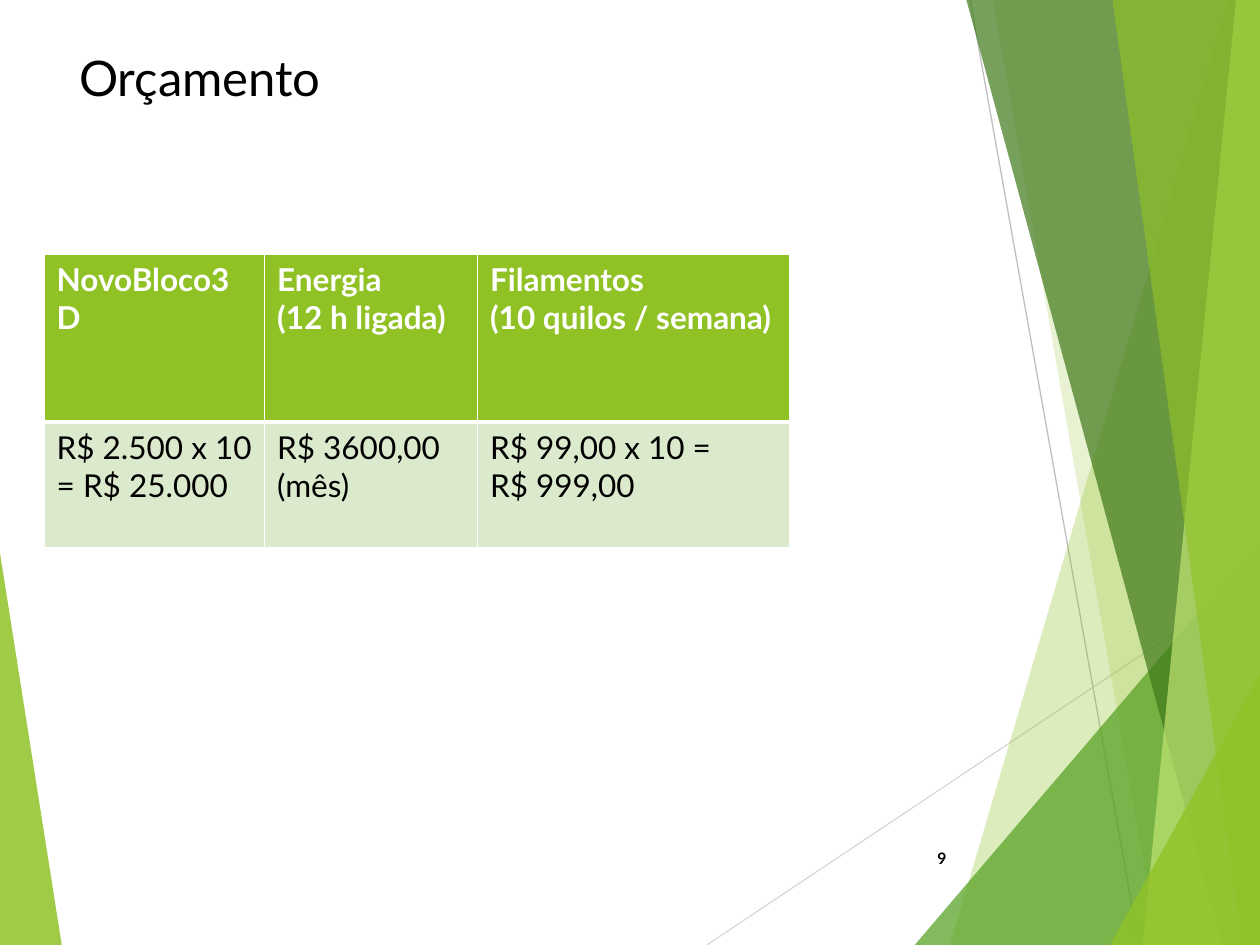
from lxml.etree import SubElement
from pptx import Presentation
from pptx.dml.color import RGBColor
from pptx.enum.shapes import MSO_CONNECTOR
from pptx.enum.text import MSO_ANCHOR, PP_ALIGN
from pptx.oxml.ns import qn
from pptx.util import Inches, Pt

COLORS = {
    "white": "FFFFFF", "black": "000000", "lime": "90C226", "green": "54A021",
    "forest": "3F7819", "pale": "C0E474", "mint": "DBE9CD",
    "silver": "D9D9D9", "gray": "BFBFBF",
}


def rgb(name):
    """Return the named colour."""
    return RGBColor.from_string(COLORS[name])


class Deck:
    """Holds the style and the current slide."""

    font = "Lato"

    def __init__(self, width, height):
        """Start a presentation with one blank slide."""
        self.prs = Presentation()
        self.prs.slide_width, self.prs.slide_height = Inches(width), Inches(height)
        self.s = self.prs.slides.add_slide(self.prs.slide_layouts[6])

    def facet(self, points, color, opacity):
        """Draw a translucent polygon."""
        start, *rest = [(Inches(x), Inches(y)) for x, y in points]
        builder = self.s.shapes.build_freeform(*start)
        builder.add_line_segments(rest, close=True)
        sp = builder.convert_to_shape()
        sp.shadow.inherit = False
        sp.line.fill.background()
        sp.fill.solid()
        sp.fill.fore_color.rgb = rgb(color)
        clr = sp._element.spPr.find(qn("a:solidFill"))[0]
        SubElement(clr, qn("a:alpha"), val=str(opacity * 1000))

    def line(self, start, end, color):
        """Draw a thin straight line."""
        ends = [Inches(v) for v in (*start, *end)]
        sp = self.s.shapes.add_connector(MSO_CONNECTOR.STRAIGHT, *ends)
        sp.line.color.rgb = rgb(color)
        sp.line.width = Pt(0.75)
        SubElement(sp._element.spPr, qn("a:effectLst"))

    def fill_text(self, tf, lines, align=PP_ALIGN.LEFT, color="black", **style):
        """Fill a text frame, one paragraph per line."""
        tf.word_wrap = True
        for i, line in enumerate(lines):
            p = tf.add_paragraph() if i else tf.paragraphs[0]
            p.alignment = align
            r = p.add_run()
            r.text = line
            r.font.color.rgb = rgb(color)
            for name, value in {"name": self.font, **style}.items():
                setattr(r.font, name, value)

    def text(self, box, line, anchor=MSO_ANCHOR.TOP, **style):
        """Add a text box."""
        tf = self.s.shapes.add_textbox(*[Inches(v) for v in box]).text_frame
        tf.vertical_anchor = anchor
        self.fill_text(tf, [line], **style)

    def border(self, cell, widths):
        """Set white cell borders, given in points by side."""
        tc_pr = cell._tc.get_or_add_tcPr()
        for side, width in widths.items():
            ln = SubElement(tc_pr, qn(f"a:ln{side}"), w=str(Pt(width)))
            fill = SubElement(ln, qn("a:solidFill"))
            SubElement(fill, qn("a:srgbClr"), val=COLORS["white"])

    def table(self, left, top, widths, heights, rows):
        """Add a table with a green header row."""
        size = Inches(sum(widths)), Inches(sum(heights))
        table = self.s.shapes.add_table(
            len(rows), len(widths), Inches(left), Inches(top), *size).table
        for col, width in zip(table.columns, widths):
            col.width = Inches(width)
        for i, (row, height) in enumerate(zip(rows, heights)):
            header = i == 0
            table.rows[i].height = Inches(height)
            for j, lines in enumerate(row):
                cell = table.cell(i, j)
                self.border(cell, {"L": 1, "R": 1, "T": 1 if header else 3,
                                   "B": 3 if header else 1})
                cell.fill.solid()
                cell.fill.fore_color.rgb = rgb("lime" if header else "mint")
                self.fill_text(cell.text_frame, lines, size=Pt(18), bold=header,
                               color="white" if header else "black")


W, H = 10, 7.5
FACETS = [
    ([(9.75, 0), (7.54, H), (W, H), (W, 0)], "lime", 30),
    ([(7.88, 0), (9.19, H), (W, H), (W, 0)], "lime", 20),
    ([(7.26, H), (W, 4.29), (W, H)], "green", 72),
    ([(7.67, 0), (9.7, H), (W, H), (W, 0)], "forest", 70),
    ([(9.81, 0), (9.07, H), (W, H), (W, 0)], "pale", 70),
    ([(8.83, 0), (9.86, H), (W, H), (W, 0)], "lime", 65),
    ([(8.81, H), (W, 5.35), (W, H)], "lime", 80),
]
BUDGET = [
    [["NovoBloco3D"], ["Energia", "(12 h ligada)"],
     ["Filamentos", "(10 quilos / semana)"]],
    [["R$ 2.500 x 10 = R$ 25.000"], ["R$ 3600,00 (mês)"],
     ["R$ 99,00 x 10 =", "R$ 999,00"]],
]

deck = Deck(W, H)
deck.facet([(0, 4.39), (0.49, H), (0, H)], "lime", 85)
deck.line((5.61, H), (W, 4.57), "silver")
deck.line((7.7, 0), (9.04, H), "gray")
for facet in FACETS:
    deck.facet(*facet)
deck.text((7.05, 6.61, 0.56, 0.4), "9", MSO_ANCHOR.MIDDLE,
          align=PP_ALIGN.RIGHT, size=Pt(9), bold=True)
deck.text((0.53, 0.33, 7.24, 1.18), "Orçamento", size=Pt(28))
deck.table(0.35, 2.02, [1.75, 1.69, 2.48], [1.33, 1], BUDGET)
deck.prs.save("out.pptx")
